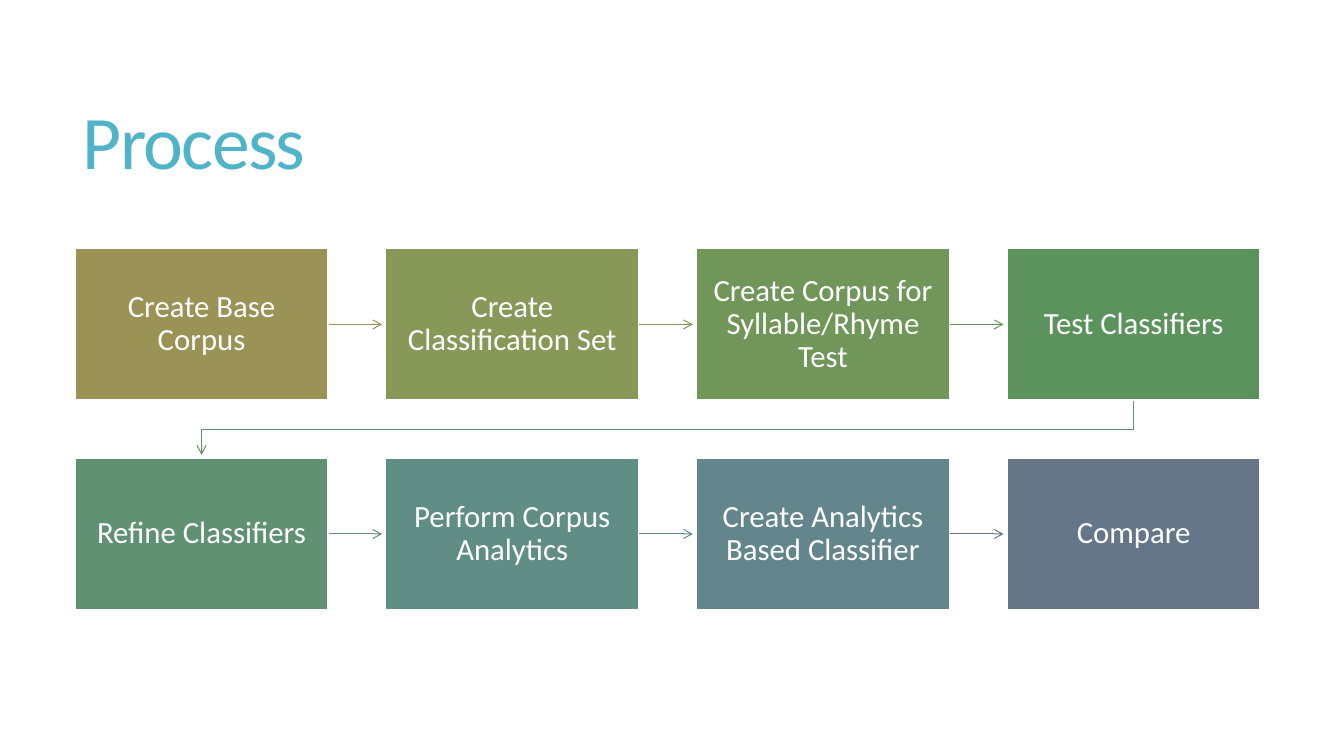
from dataclasses import dataclass

from lxml.etree import SubElement
from pptx import Presentation
from pptx.dml.color import RGBColor
from pptx.enum.shapes import MSO_CONNECTOR, MSO_SHAPE
from pptx.enum.text import MSO_ANCHOR, PP_ALIGN
from pptx.oxml.ns import qn
from pptx.util import Cm, Pt

FONT = "Calibri"
WHITE = "FFFFFF"
COLUMNS = 4
GRID_LEFT, GRID_TOP = 1.89, 6.27
STEP_WIDTH, STEP_HEIGHT = 6.38, 3.81
COLUMN_PITCH, ROW_PITCH = 7.83, 5.28
ARROW_GAP = 0.09
INSET = Cm(0.43)


@dataclass
class Step:
    label: str
    fill: str
    arrow: str = ""  # colour of the arrow to the next step


STEPS = [
    Step("Create Base Corpus", "9B9256", "9B9256"),
    Step("Create Classification Set", "889858", "849859"),
    Step("Create Corpus for Syllable/Rhyme Test", "70965A", "69955B"),
    Step("Test Classifiers", "5C935D", "5E9268"),
    Step("Refine Classifiers", "5F9172", "608F7E"),
    Step("Perform Corpus Analytics", "618E84", "63888C"),
    Step("Create Analytics Based Classifier", "63868C", "657689"),
    Step("Compare", "657689"),
]


def rgb(colour: str) -> RGBColor:
    return RGBColor.from_string(colour)


def step_corner(index: int) -> tuple[float, float]:
    row, column = divmod(index, COLUMNS)
    return GRID_LEFT + column * COLUMN_PITCH, GRID_TOP + row * ROW_PITCH


def format_paragraph(paragraph, size: float, colour: str, spacing: float, align) -> None:
    paragraph.alignment = align
    paragraph.line_spacing = spacing
    font = paragraph.font
    font.name, font.size = FONT, Pt(size)
    font.color.rgb = rgb(colour)


def style_arrow(arrow, colour: str) -> None:
    arrow.line.color.rgb = rgb(colour)
    arrow.line.width = Pt(0.75)
    SubElement(arrow.line._get_or_add_ln(), qn("a:tailEnd"), type="arrow")


def draw_step(shapes, index: int, step: Step) -> None:
    left, top = step_corner(index)
    box = shapes.add_shape(MSO_SHAPE.RECTANGLE, Cm(left), Cm(top),
                           Cm(STEP_WIDTH), Cm(STEP_HEIGHT))
    box.shadow.inherit = False
    box.fill.solid()
    box.fill.fore_color.rgb = rgb(step.fill)
    box.line.color.rgb = rgb(WHITE)
    box.line.width = Pt(1)
    frame = box.text_frame
    frame.word_wrap = True
    frame.vertical_anchor = MSO_ANCHOR.MIDDLE
    frame.margin_left = frame.margin_right = INSET
    frame.margin_top = frame.margin_bottom = INSET
    frame.text = step.label
    format_paragraph(frame.paragraphs[0], 22, WHITE, 0.9, PP_ALIGN.CENTER)


def draw_straight_arrow(shapes, index: int, colour: str) -> None:
    left, top = step_corner(index)
    middle = Cm(top + STEP_HEIGHT / 2)
    arrow = shapes.add_connector(MSO_CONNECTOR.STRAIGHT, Cm(left + STEP_WIDTH), middle,
                                 Cm(left + COLUMN_PITCH - ARROW_GAP), middle)
    SubElement(arrow._element.spPr, qn("a:effectLst"))
    style_arrow(arrow, colour)


def draw_row_break_arrow(shapes, index: int, colour: str) -> None:
    left, top = step_corner(index)
    next_left, next_top = step_corner(index + 1)
    start_x, end_x = (Cm(x + STEP_WIDTH / 2) for x in (left, next_left))
    bottom = top + STEP_HEIGHT
    turn_y = Cm((bottom + next_top) / 2)
    outline = shapes.build_freeform(start_x, Cm(bottom))
    outline.add_line_segments([(start_x, turn_y), (end_x, turn_y),
                               (end_x, Cm(next_top - ARROW_GAP))], close=False)
    arrow = outline.convert_to_shape()
    arrow.shadow.inherit = False
    arrow.fill.background()
    style_arrow(arrow, colour)


presentation = Presentation()
presentation.slide_width, presentation.slide_height = Cm(33.87), Cm(19.05)
slide = presentation.slides.add_slide(presentation.slide_layouts[5])

# Title
title = slide.shapes.title
title.left, title.top, title.width, title.height = Cm(1.83), Cm(1.4), Cm(29.92), Cm(4.6)
title.text_frame.text = "Process"
title.text_frame.vertical_anchor = MSO_ANCHOR.MIDDLE
heading = title.text_frame.paragraphs[0]
format_paragraph(heading, 54, "50B4C8", 0.85, PP_ALIGN.LEFT)
heading.runs[0]._r.get_or_add_rPr().set("spc", "-120")

# Process steps, each with the arrow to its successor
for index, step in enumerate(STEPS):
    if step.arrow:
        ends_row = (index + 1) % COLUMNS == 0
        draw_arrow = draw_row_break_arrow if ends_row else draw_straight_arrow
        draw_arrow(slide.shapes, index, step.arrow)
    draw_step(slide.shapes, index, step)

presentation.save("out.pptx")
